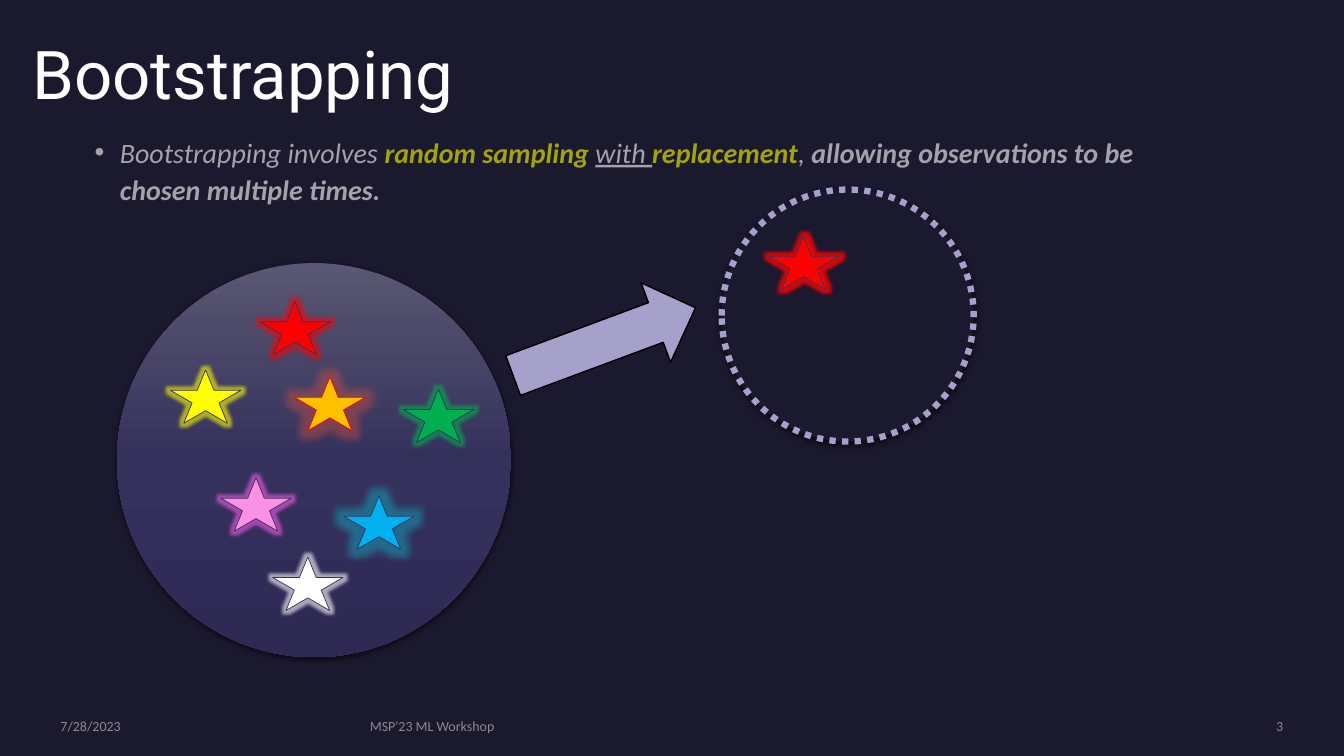
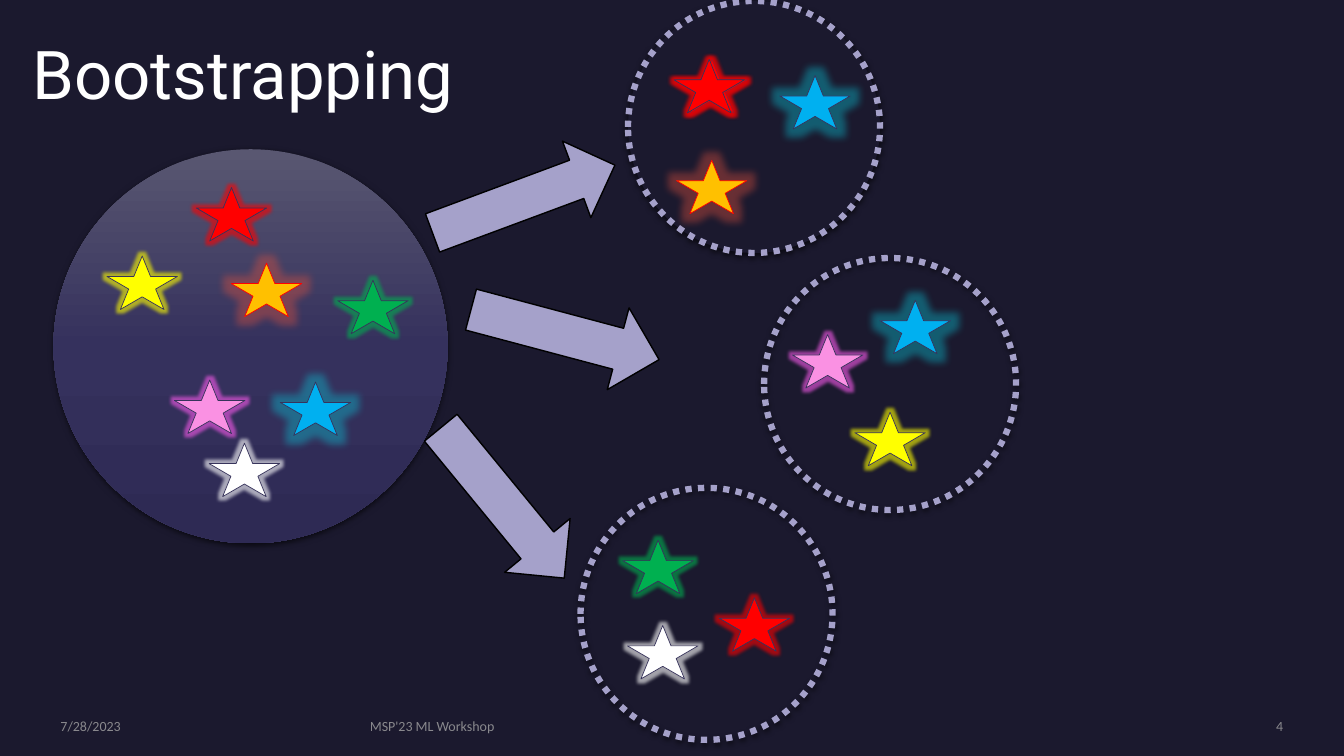
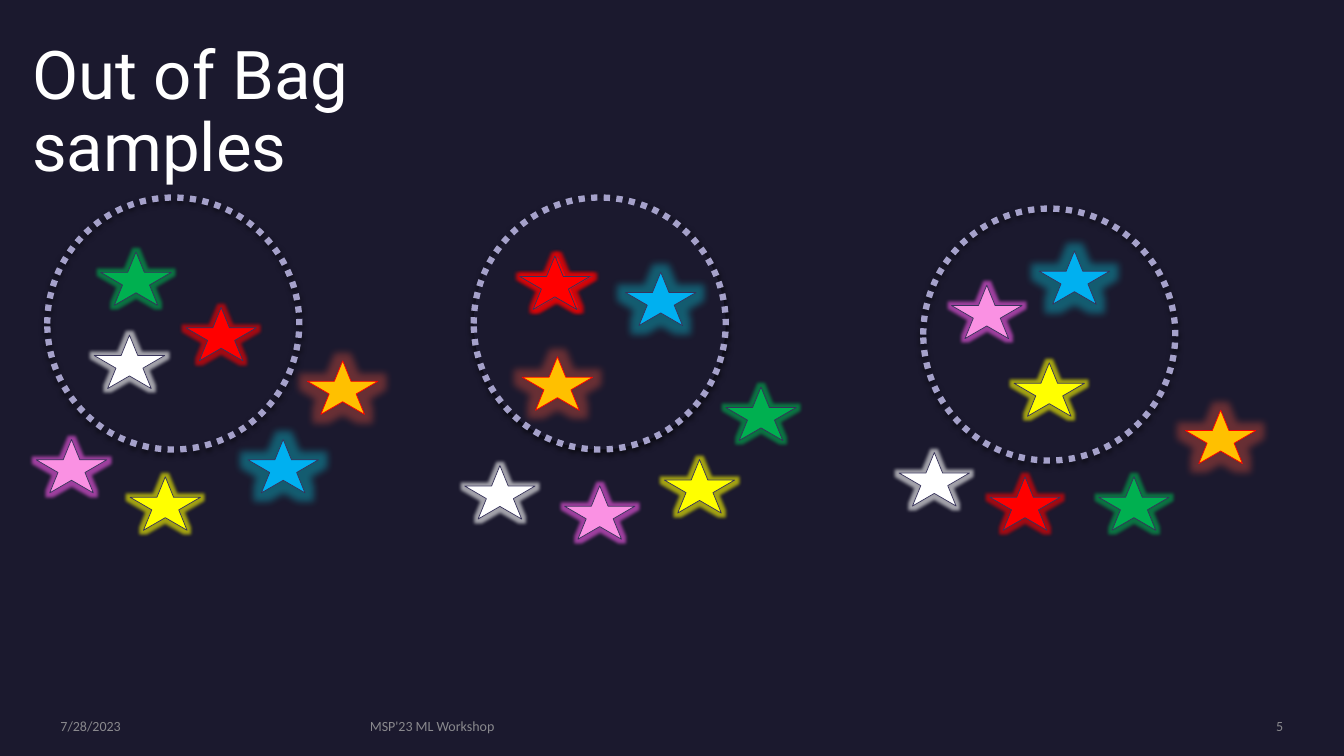
import pptx
import pptx.dml.color
import pptx.enum.dml
import pptx.enum.shapes
import pptx.enum.text
import pptx.oxml
import pptx.oxml.ns
import pptx.util

Pt = pptx.util.Pt
qn = pptx.oxml.ns.qn
SHAPE = pptx.enum.shapes.MSO_SHAPE
ALIGN = pptx.enum.text.PP_ALIGN
ANCHOR = pptx.enum.text.MSO_ANCHOR

COLORS = {
    "bg": "1B192E", "white": "FFFFFF", "footer": "A6A6A6", "accent": "FFFF00",
    "lilac": "A5A1CA", "edge": "37335B", "black": "000000",
    "bag_top": "595771", "bag_mid": "35315D", "bag_low": "2E2A54",
    "red": "FF0000", "yellow": "FFFF00", "orange": "FFC000",
    "green": "00B050", "pink": "FA91E3", "blue": "00B0F0",
    "glow_pink": "F85AEC", "glow_orange": "E0523F", "glow_blue": "0AC5D8",
}
# Stars with a wide, faint glow; the others get a narrow, strong one
WIDE_GLOW = ("orange", "blue")

# Star offsets from the corner of the circle that holds them
BAG = {"yellow": (38.2, 76.3), "orange": (127, 81.4), "blue": (162, 166.3),
       "red": (102, 27.4), "green": (204.5, 90), "white": (111.2, 210),
       "pink": (74.2, 153.4)}
SAMPLE_A = {"red": (34.8, 41.8), "orange": (34.6, 113.8), "blue": (108.4, 53.3)}
SAMPLE_B = {"pink": (20.2, 54.7), "blue": (82.8, 30.2), "yellow": (64.8, 110.2)}
SAMPLE_C = {"white": (33.5, 98.3), "red": (99, 78.5), "green": (30.2, 37.4)}
RED_SHIFT = 2  # the first drawn star appears twice, slightly shifted


def color_xml(name, alpha):
    return (f'<a:srgbClr val="{COLORS[name]}">'
            f'<a:alpha val="{alpha * 1000}"/></a:srgbClr>')


def element(tag, attrs="", inner=""):
    ns = pptx.oxml.ns.nsdecls("a")
    return pptx.oxml.parse_xml(f"<a:{tag} {ns} {attrs}>{inner}</a:{tag}>")


def rgb(name):
    return pptx.dml.color.RGBColor.from_string(COLORS[name])


class Deck:
    def __init__(self):
        self.prs = pptx.Presentation()
        self.prs.slide_width, self.prs.slide_height = Pt(960), Pt(540)
        self.s = None

    # Slide with background, title and footer
    def slide(self, title, number, title_w=354.2):
        self.s = self.prs.slides.add_slide(self.prs.slide_layouts[6])
        self.s.background.fill.solid()
        self.s.background.fill.fore_color.rgb = rgb("bg")
        p = self.text(23, 29.5, title_w, 123)
        p.line_spacing = 0.9
        self.run(p, title, 48, "white", font="Roboto")
        for x, w, label, align in ((43.2, 207.4, "7/28/2023", ALIGN.LEFT),
                                   (264.2, 502.6, "MSP'23 ML Workshop", ALIGN.LEFT),
                                   (783.4, 133.2, str(number), ALIGN.RIGHT)):
            p = self.text(x, 512.6, w, 12.2, anchor=ANCHOR.MIDDLE)
            p.alignment = align
            self.run(p, label, 10, "footer", alpha=80)

    # Text
    def text(self, x, y, w, h, inset=(0, 0), anchor=ANCHOR.TOP):
        tf = self.s.shapes.add_textbox(Pt(x), Pt(y), Pt(w), Pt(h)).text_frame
        tf.word_wrap = True
        tf.vertical_anchor = anchor
        tf.margin_left = tf.margin_right = Pt(inset[0])
        tf.margin_top = tf.margin_bottom = Pt(inset[1])
        return tf.paragraphs[0]

    def run(self, p, text, size, color, alpha=100, font="Calibri",
            bold=False, italic=False, underline=False):
        r = p.add_run()
        r.text = text
        f = r.font
        f.name, f.size = font, Pt(size)
        f.bold, f.italic, f.underline = bold, italic, underline
        f.color.rgb = rgb(color)
        if alpha < 100:
            clr = r._r.rPr.find(".//" + qn("a:srgbClr"))
            clr.append(element("alpha", f'val="{alpha * 1000}"'))

    def bullet(self, x, y, w, h, runs):
        p = self.text(x, y, w, h, inset=(7.2, 3.6))
        p.line_spacing, p.space_before, p.space_after = 1.1, Pt(10), Pt(8)
        pPr = p._p.get_or_add_pPr()
        pPr.set("marL", str(Pt(18)))
        pPr.set("indent", str(Pt(-18)))
        pPr.append(element("buFont", 'typeface="Arial"'))
        pPr.append(element("buChar", 'char="•"'))
        for text, color, bold, underline in runs:
            self.run(p, text, 20, color, 60, bold=bold, italic=True,
                     underline=underline)

    # Shapes
    def shape(self, kind, x, y, w, h, fill=None, line=None, line_w=0.5):
        sp = self.s.shapes.add_shape(kind, Pt(x), Pt(y), Pt(w), Pt(h))
        sp.shadow.inherit = False
        if fill:
            sp.fill.solid()
            sp.fill.fore_color.rgb = rgb(fill)
        else:
            sp.fill.background()
        if line:
            sp.line.color.rgb = rgb(line)
            sp.line.width = Pt(line_w)
        else:
            sp.line.fill.background()
        return sp

    def effect(self, sp, node):
        sp._element.spPr.find(qn("a:effectLst")).append(node)

    def drop_shadow(self, sp):
        attrs = (f'blurRad="{Pt(4.5)}" dist="{Pt(1.5)}" dir="5400000" '
                 'algn="ctr" rotWithShape="0"')
        self.effect(sp, element("outerShdw", attrs, color_xml("black", 63)))

    def star(self, name, x, y):
        line = "red" if name == "orange" else "edge"
        sp = self.shape(SHAPE.STAR_5_POINT, x, y, 50.4, 38.2, name, line)
        radius, alpha = (11, 40) if name in WIDE_GLOW else (5, 60)
        glow = "glow_" + name if "glow_" + name in COLORS else name
        self.effect(sp, element("glow", f'rad="{Pt(radius)}"',
                                color_xml(glow, alpha)))

    def stars(self, x, y, offsets):
        for name, (dx, dy) in offsets.items():
            self.star(name, x + dx, y + dy)

    def bag(self, x, y, offsets):
        sp = self.shape(SHAPE.OVAL, x, y, 281.5, 281.5)
        sp.fill.gradient()
        sp.fill.gradient_angle = 270
        stops = sp._element.spPr.find(".//" + qn("a:gsLst"))
        for gs in list(stops):
            stops.remove(gs)
        for pos, name in ((0, "bag_top"), (50, "bag_mid"), (100, "bag_low")):
            stops.append(element("gs", f'pos="{pos * 1000}"',
                                 color_xml(name, 100)))
        self.drop_shadow(sp)
        self.stars(x, y, offsets)

    def sample(self, x, y, offsets, fill=None, twin=False):
        sp = self.shape(SHAPE.OVAL, x, y, 180, 180, fill, "lilac", 4.5)
        sp.line.dash_style = pptx.enum.dml.MSO_LINE.ROUND_DOT
        self.drop_shadow(sp)
        self.stars(x, y, offsets)
        if twin:
            dx, dy = offsets["red"]
            self.star("red", x + dx - RED_SHIFT, y + dy)

    def arrow(self, x, y, angle, h=60.5):
        sp = self.shape(SHAPE.RIGHT_ARROW, x, y, 139, h, "lilac", "black", 1)
        sp.rotation = angle


def main():
    deck = Deck()

    # Slide 3: first draw
    deck.slide("Bootstrapping", 3)
    deck.bullet(60.5, 90.7, 774, 276.5, (
        ("Bootstrapping involves ", "white", False, False),
        ("random sampling ", "accent", True, False),
        ("with ", "white", False, True),
        ("replacement", "accent", True, False),
        (",", "white", False, False),
        (" allowing observations to be chosen multiple times.", "white", True, False)))
    deck.bag(83.5, 187.9, BAG)
    deck.sample(515.5, 135.4, {"red": (35.3, 33.1)}, "bg", twin=True)
    deck.arrow(362.2, 213.8, 339.6)

    # Slide 4: three samples
    deck.slide("Bootstrapping", 4)
    deck.bag(38.2, 106.6, BAG | {"green": (203, 93.6), "pink": (86.4, 164.9)})
    deck.sample(448.6, 0.7, SAMPLE_A, "bg", twin=True)
    deck.sample(545.8, 184.3, SAMPLE_B)
    deck.sample(414.7, 348.5, SAMPLE_C)
    deck.arrow(304.6, 113, 339.6, h=58.3)
    deck.arrow(334.1, 208.8, 14.9)
    deck.arrow(289.4, 329, 50.6)

    # Slide 5: samples with their left-out stars
    deck.slide("Out of Bag samples", 5, title_w=403.9)
    deck.sample(338.4, 141.1, SAMPLE_A, "bg", twin=True)
    deck.sample(659.5, 149, SAMPLE_B)
    deck.sample(33.8, 141.1, SAMPLE_C | {"green": (38.2, 38.9)})
    for left_out in (
            {"pink": (25.9, 313.9), "yellow": (92.9, 340.6),
             "blue": (177.1, 313.9), "orange": (219.6, 257.8)},
            {"pink": (403.2, 347), "white": (331.9, 332.6),
             "yellow": (474.5, 328.3), "green": (518.4, 276.5)},
            {"red": (707, 340.6), "orange": (846.7, 293),
             "white": (642.2, 323.3), "green": (784.8, 340.6)}):
        deck.stars(0, 0, left_out)

    deck.prs.save("out.pptx")


if __name__ == "__main__":
    main()
